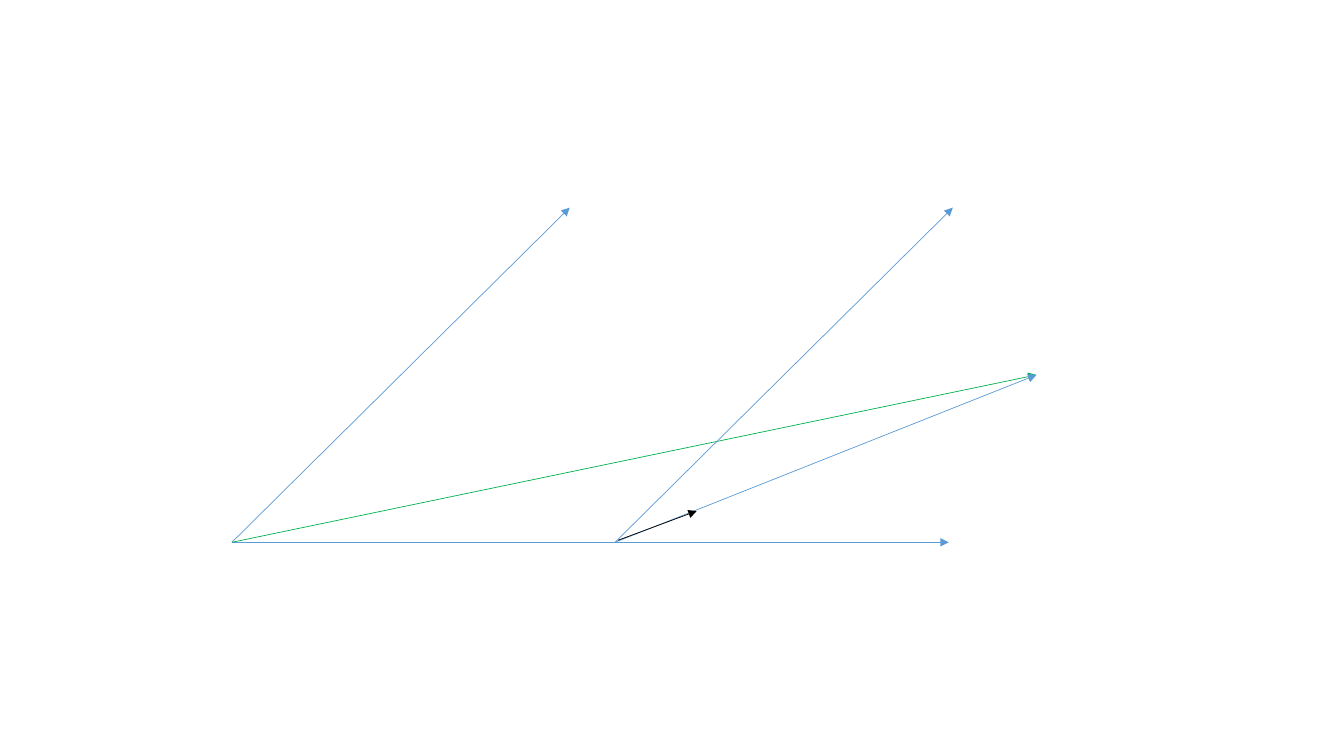
from lxml.etree import SubElement
from pptx import Presentation
from pptx.dml.color import RGBColor
from pptx.enum.shapes import MSO_CONNECTOR
from pptx.oxml.ns import qn
from pptx.util import Inches, Pt

COLORS = {"axis": "5B9BD5", "position": "00B050", "unit": "000000"}

deck = Presentation()
deck.slide_width = Inches(13.33)
deck.slide_height = Inches(7.5)
slide = deck.slides.add_slide(deck.slide_layouts[6])

origin = (2.3, 5.38)
shifted_origin = (6.1, 5.38)
target = (10.28, 3.72)
diagonal = (3.35, -3.32)

vectors = [
    (origin, (9.41, 5.38), "axis"),
    (origin, (origin[0] + diagonal[0], origin[1] + diagonal[1]), "axis"),
    (origin, target, "position"),
    (shifted_origin, (shifted_origin[0] + diagonal[0], shifted_origin[1] + diagonal[1]), "axis"),
    (shifted_origin, target, "axis"),
    ((6.13, 5.36), (6.91, 5.07), "unit"),
]

for start, end, role in vectors:
    vector = slide.shapes.add_connector(
        MSO_CONNECTOR.STRAIGHT, *(Inches(value) for value in start + end)
    )
    vector.line.color.rgb = RGBColor.from_string(COLORS[role])
    vector.line.width = Pt(0.5)
    properties = vector.line._get_or_add_ln()
    SubElement(properties, qn("a:tailEnd"), type="triangle")
    SubElement(vector._element.spPr, qn("a:effectLst"))

deck.save("out.pptx")
